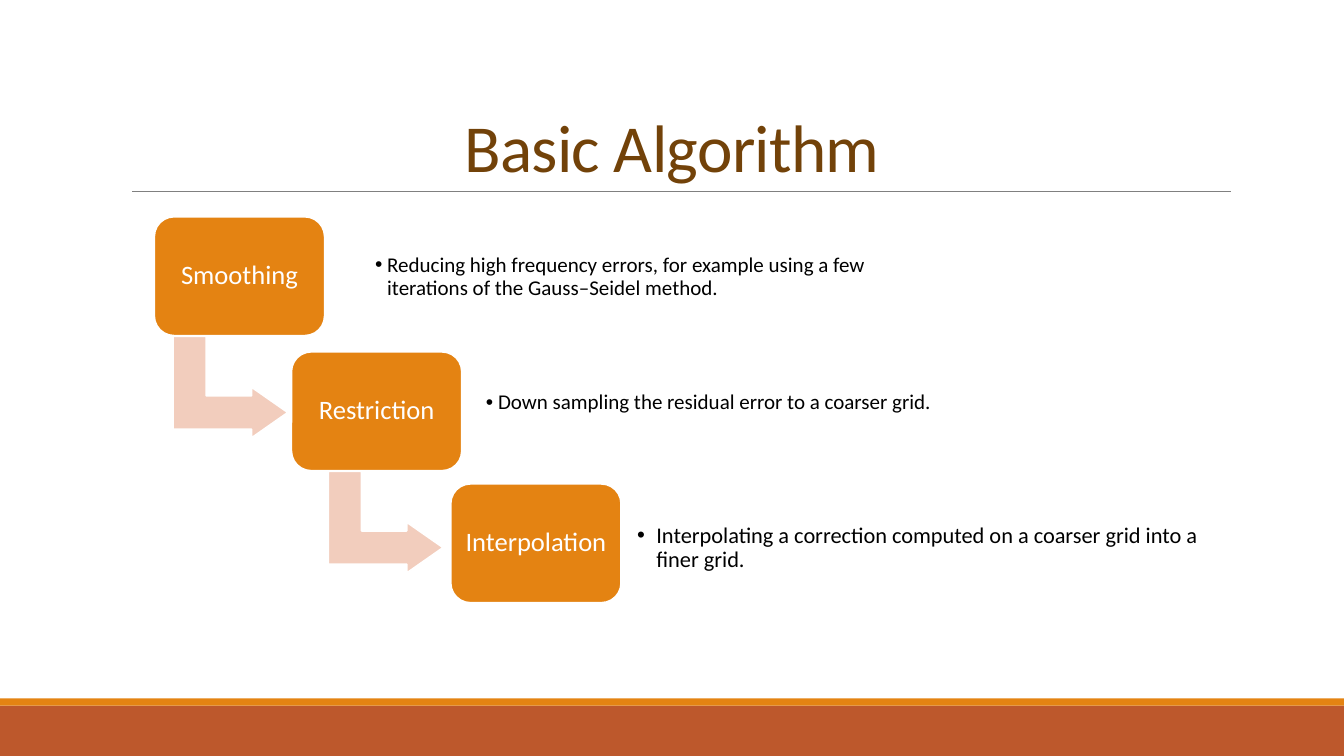
from lxml import etree
from pptx import Presentation
from pptx import util as u
from pptx.dml.color import RGBColor
from pptx.enum import shapes, text
from pptx.oxml.ns import qn

PX = 9144  # EMU per px, 100 px to the inch
FONT = "Calibri"
ORANGE, RUST, PEACH = "E48312", "BD582C", "F2CDBD"
WHITE, BLACK, GREY, BROWN = "FFFFFF", "000000", "808080", "724209"

# label, box position, caption frame, size in points, bullet indent, caption
STEPS = [
    ("Smoothing", (153, 215), (364, 227, 583, 96), 15, 12,
     "Reducing high frequency errors, for example using a few iterations of the Gauss–Seidel method."),
    ("Restriction", (289, 349), (474, 352, 493, 96), 15, 12,
     "Down sampling the residual error to a coarser grid."),
    ("Interpolation", (447, 480), (624, 496, 589, 96), 16, 19,
     "Interpolating a correction computed on a coarser grid into a finer grid."),
]
STEP_SIZE = (169, 118)
ARROWS = [(178, 327), (332, 461)]
ARROW_SIZE = (101, 114)


def color(value):
    return RGBColor.from_string(value)


def px(*lengths):
    return [u.Emu(length * PX) for length in lengths]


def add_block(slide, kind, frame, fill, outline=None):
    shape = slide.shapes.add_shape(kind, *px(*frame))
    shape.shadow.inherit = False
    shape.fill.solid()
    shape.fill.fore_color.rgb = color(fill)
    if outline:
        shape.line.color.rgb = color(outline)
        shape.line.width = u.Pt(1.25)
    else:
        shape.line.fill.background()
    return shape


def add_rule(slide, left, top, right):
    rule = slide.shapes.add_connector(
        shapes.MSO_CONNECTOR.STRAIGHT, *px(left, top, right, top))
    rule.line.color.rgb = color(GREY)
    rule.line.width = u.Pt(0.5)
    etree.SubElement(rule.element.spPr, qn("a:effectLst"))


def write(frame, words, size, fill, align, spacing=0.9):
    """Put one formatted run in the frame's first paragraph."""
    paragraph = frame.paragraphs[0]
    paragraph.alignment = align
    paragraph.line_spacing = spacing
    run = paragraph.add_run()
    run.text = words
    run.font.name = FONT
    run.font.size = u.Pt(size)
    run.font.color.rgb = color(fill)
    return paragraph, run


def set_insets(frame, side, right):
    frame.margin_left, frame.margin_top, frame.margin_bottom, frame.margin_right = px(
        side, side, side, right)
    frame.vertical_anchor = text.MSO_ANCHOR.MIDDLE
    frame.word_wrap = True


def add_title(slide, words):
    title = slide.shapes.title
    title.left, title.top, title.width, title.height = px(0, 31, 1333, 159)
    frame = title.text_frame
    frame.auto_size = text.MSO_AUTO_SIZE.NONE
    frame.vertical_anchor = text.MSO_ANCHOR.BOTTOM
    run = write(frame, words, 48, BROWN, text.PP_ALIGN.CENTER, 0.85)[1]
    run.font._element.set("spc", "-50")


def add_arrow(slide, position):
    arrow = add_block(slide, shapes.MSO_SHAPE.BENT_UP_ARROW,
                      position + ARROW_SIZE, PEACH, WHITE)
    arrow.rotation = 90
    for index, value in enumerate((0.328, 0.25, 0.358)):
        arrow.adjustments[index] = value


def add_step(slide, label, position):
    box = add_block(slide, shapes.MSO_SHAPE.ROUNDED_RECTANGLE,
                    position + STEP_SIZE, ORANGE, WHITE)
    set_insets(box.text_frame, 8, 8)
    write(box.text_frame, label, 19, WHITE, text.PP_ALIGN.CENTER)


def add_caption(slide, words, frame, size, indent):
    caption = slide.shapes.add_textbox(*px(*frame))
    set_insets(caption.text_frame, 8, 12)
    paragraph = write(caption.text_frame, words, size, BLACK, text.PP_ALIGN.LEFT)[0]
    properties = paragraph._p.get_or_add_pPr()
    properties.set("marL", str(indent * PX))
    properties.set("indent", str(-indent * PX))
    etree.SubElement(properties, qn("a:buFont"), typeface="Arial")
    etree.SubElement(properties, qn("a:buChar"), char="•")


def main():
    presentation = Presentation()
    presentation.slide_width, presentation.slide_height = px(1333, 750)
    slide = presentation.slides.add_slide(presentation.slide_layouts[5])

    add_block(slide, shapes.MSO_SHAPE.RECTANGLE, (0, 700, 1333, 50), RUST)
    add_block(slide, shapes.MSO_SHAPE.RECTANGLE, (0, 693, 1333, 7), ORANGE)
    add_rule(slide, 131, 190, 1221)
    add_title(slide, "Basic Algorithm")

    for position in ARROWS:
        add_arrow(slide, position)
    for label, position, frame, size, indent, caption in STEPS:
        add_step(slide, label, position)
        add_caption(slide, caption, frame, size, indent)

    presentation.save("out.pptx")


if __name__ == "__main__":
    main()
